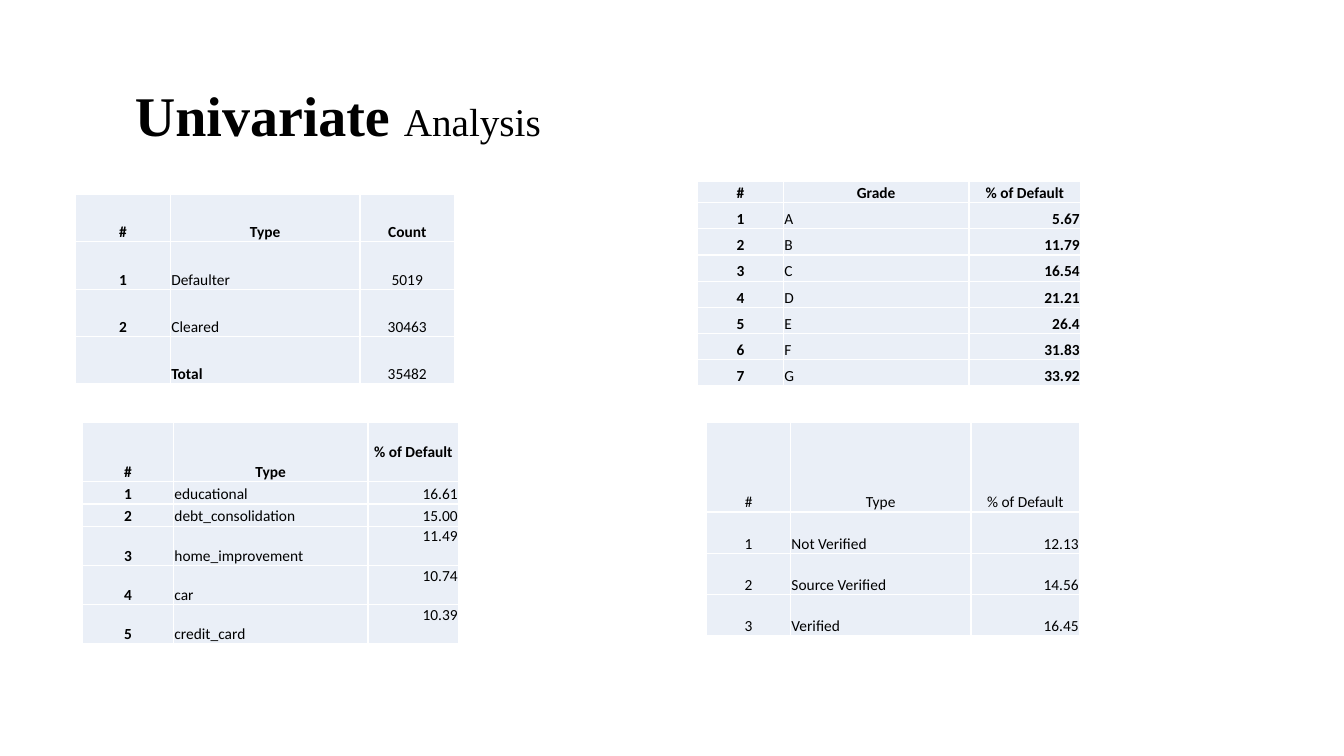
from lxml.etree import SubElement
from pptx import Presentation
from pptx.dml.color import RGBColor
from pptx.enum.text import MSO_ANCHOR, PP_ALIGN
from pptx.oxml import parse_xml
from pptx.oxml.ns import nsdecls, qn
from pptx.util import Inches, Pt

LEFT, CENTER, RIGHT = PP_ALIGN.LEFT, PP_ALIGN.CENTER, PP_ALIGN.RIGHT
TOP, MIDDLE, BOTTOM = MSO_ANCHOR.TOP, MSO_ANCHOR.MIDDLE, MSO_ANCHOR.BOTTOM


def color(value):
    return RGBColor.from_string(value)


class SlideBuilder:
    TITLE_FONT, TABLE_FONT = "Times New Roman", "Calibri"
    INK, CELL, BORDER = "000000", "EAEFF7", "FFFFFF"

    def __init__(self, s):
        self.s = s

    def style(self, r, font, size, bold):
        r.font.name, r.font.size, r.font.bold = font, Pt(size), bold
        r.font.color.rgb = color(self.INK)

    def title(self, left, top, width, height, parts):
        sp = self.s.shapes.add_textbox(Inches(left), Inches(top), Inches(width), Inches(height))
        tf = sp.text_frame
        tf.word_wrap = True
        tf.vertical_anchor = MIDDLE
        p = tf.paragraphs[0]
        p.line_spacing = 0.9
        for text, size, bold in parts:
            r = p.add_run()
            r.text = text
            self.style(r, self.TITLE_FONT, size, bold)

    def borders(self, cell):
        tc_pr = cell._tc.get_or_add_tcPr()
        for i, side in enumerate(("lnL", "lnR", "lnT", "lnB")):
            ln = parse_xml(f'<a:{side} {nsdecls("a")} w="12700"/>')
            fill = SubElement(ln, qn("a:solidFill"))
            SubElement(fill, qn("a:srgbClr"), val=self.BORDER)
            tc_pr.insert(i, ln)

    def cell(self, cell, text, align, bold, anchor=BOTTOM):
        cell.fill.solid()
        cell.fill.fore_color.rgb = color(self.CELL)
        cell.margin_left = cell.margin_right = cell.margin_top = Inches(0.01)
        cell.margin_bottom = 0
        cell.vertical_anchor = anchor
        self.borders(cell)
        if text:
            p = cell.text_frame.paragraphs[0]
            p.text = text
            p.alignment = align
            self.style(p.runs[0], self.TABLE_FONT, 11, bold)

    def table(self, left, top, widths, heights, rows, value_align=RIGHT,
              bold_columns=(True, False, False), bold_header=True, anchors=None):
        """anchors maps (row, column) to a vertical anchor other than bottom."""
        anchors = anchors or {}
        frame = self.s.shapes.add_table(
            len(rows), len(widths), Inches(left), Inches(top),
            Inches(sum(widths)), Inches(sum(heights)))
        table = frame.table
        table.first_row = table.horz_banding = False
        for column, width in zip(table.columns, widths):
            column.width = Inches(width)
        for row, height in zip(table.rows, heights):
            row.height = Inches(height)
        for i, row in enumerate(rows):
            for j, text in enumerate(row):
                align = CENTER if i == 0 else (CENTER, LEFT, value_align)[j]
                bold = bold_header if i == 0 else bold_columns[j] or text == "Total"
                self.cell(table.cell(i, j), text, align, bold, anchors.get((i, j), BOTTOM))


def numbered(header, pairs):
    return [("#", *header)] + [(str(n), *pair) for n, pair in enumerate(pairs, 1)]


def main():
    prs = Presentation()
    prs.slide_width, prs.slide_height = Inches(13.33), Inches(7.5)
    b = SlideBuilder(prs.slides.add_slide(prs.slide_layouts[6]))

    # Title
    b.title(1.24, 0.7, 10.19, 0.94, [("Univariate ", 40, True), ("Analysis", 28, False)])

    # Loan status counts
    status = numbered(("Type", "Count"), [("Defaulter", "5019"), ("Cleared", "30463")])
    b.table(0.75, 1.93, [0.94, 1.88, 0.94], [0.47] * 4,
            status + [("", "Total", "35482")], value_align=CENTER)

    # Default rate by loan purpose
    purpose = [("educational", "16.61"), ("debt_consolidation", "15.00"),
               ("home_improvement", "11.49"), ("car", "10.74"), ("credit_card", "10.39")]
    b.table(0.82, 4.19, [0.9, 1.93, 0.9], [0.59] + [0.22] * 2 + [0.39] * 3,
            numbered(("Type", "% of Default"), purpose),
            anchors={(0, 2): MIDDLE, (3, 2): TOP, (4, 2): TOP, (5, 2): TOP})

    # Default rate by grade
    rates = ["5.67", "11.79", "16.54", "21.21", "26.4", "31.83", "33.92"]
    b.table(6.92, 1.8, [0.85, 1.84, 1.11], [0.21] + [0.26] * 7,
            numbered(("Grade", "% of Default"), zip("ABCDEFG", rates)),
            bold_columns=(True, False, True))

    # Default rate by verification status
    verification = [("Not Verified", "12.13"), ("Source Verified", "14.56"), ("Verified", "16.45")]
    b.table(7.01, 4.19, [0.83, 1.79, 1.08], [0.89] + [0.41] * 3,
            numbered(("Type", "% of Default"), verification),
            bold_columns=(False,) * 3, bold_header=False)

    prs.save("out.pptx")


if __name__ == "__main__":
    main()
